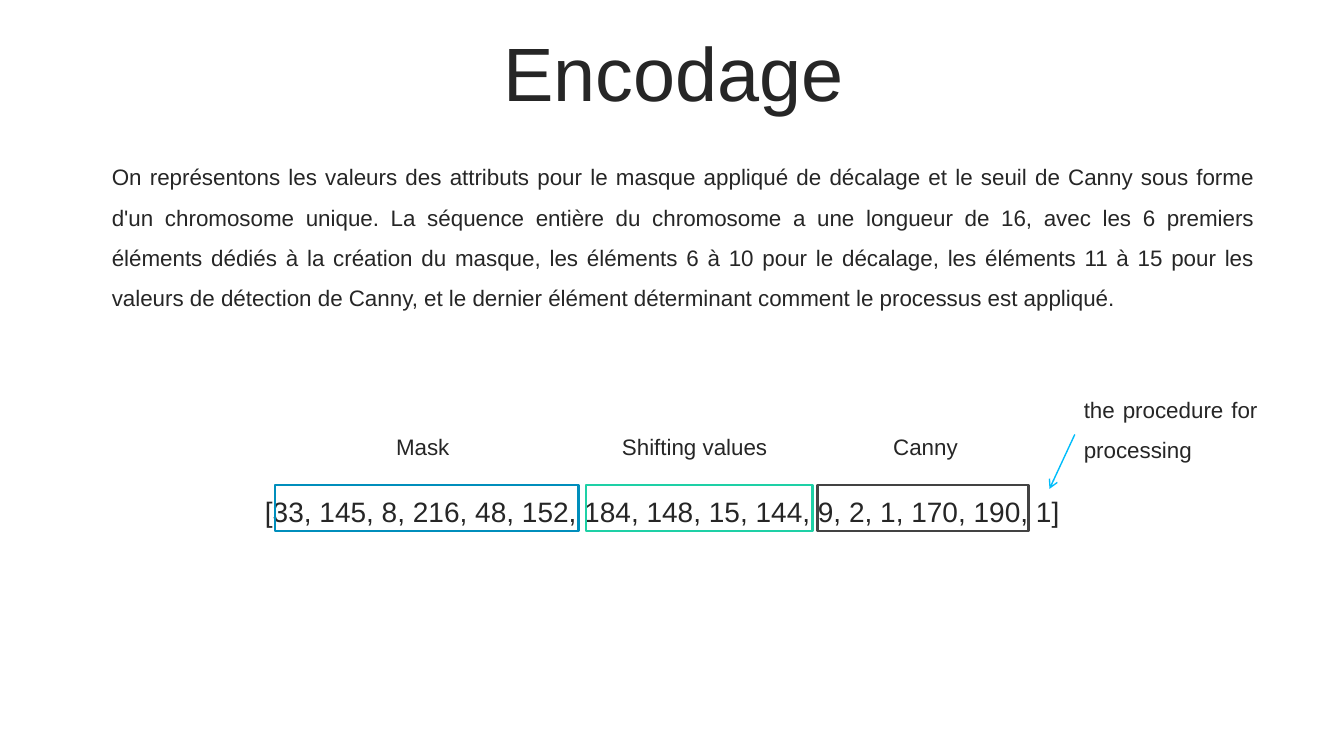
from lxml.etree import SubElement
from pptx import Presentation
from pptx.dml.color import RGBColor
from pptx.enum.shapes import MSO_CONNECTOR, MSO_SHAPE
from pptx.enum.text import MSO_ANCHOR, PP_ALIGN
from pptx.oxml.ns import qn
from pptx.util import Inches, Pt

INK = RGBColor(0x26, 0x26, 0x26)
BLUE = RGBColor(0x00, 0x8E, 0xBC)
GREEN = RGBColor(0x1E, 0xD0, 0xA6)
GREY = RGBColor(0x43, 0x43, 0x43)
SKY = RGBColor(0x00, 0xBD, 0xFB)

prs = Presentation()
prs.slide_width = Inches(13.33)
prs.slide_height = Inches(7.5)
s = prs.slides.add_slide(prs.slide_layouts[5])


def share(x, y, w, h):
    col, row = prs.slide_width / 100, prs.slide_height / 100
    return round(x * col), round(y * row), round(w * col), round(h * row)


def write(sp, text, size, align=PP_ALIGN.JUSTIFY, spacing=1.5):
    tf = sp.text_frame
    tf.word_wrap = True
    p = tf.paragraphs[0]
    p.alignment = align
    p.line_spacing = spacing
    r = p.add_run()
    r.text = text
    r.font.name = "Arial"
    r.font.size = Pt(size)
    r.font.color.rgb = INK


title = s.shapes.title
title.left, title.top, title.width, title.height = share(2.63, 4.93, 94.97, 10.53)
title.text_frame.vertical_anchor = MSO_ANCHOR.MIDDLE
write(title, "Encodage", 54, PP_ALIGN.CENTER, 0.9)

intro = (
    "On représentons les valeurs des attributs pour le masque appliqué de décalage "
    "et le seuil de Canny sous forme d'un chromosome unique. La séquence entière du "
    "chromosome a une longueur de 16, avec les 6 premiers éléments dédiés à la "
    "création du masque, les éléments 6 à 10 pour le décalage, les éléments 11 à 15 "
    "pour les valeurs de détection de Canny, et le dernier élément déterminant "
    "comment le processus est appliqué."
)
chromosome = "[33, 145, 8, 216, 48, 152, 184, 148, 15, 144, 9, 2, 1, 170, 190, 1]"
write(s.shapes.add_textbox(*share(7.58, 19.2, 86.5, 22.27)), intro, 16)
write(s.shapes.add_textbox(*share(18.98, 62.53, 62.04, 10.27)), chromosome, 20)

genes = [
    ("Mask", BLUE, 20.48, 22.58, 28.73, 6),
    ("Shifting values", GREEN, 43.59, 16.88, 45.54, 12.98),
    ("Canny", GREY, 60.84, 15.68, 65.72, 7.8),
]
for label, color, box_x, box_w, label_x, label_w in genes:
    sp = s.shapes.add_shape(MSO_SHAPE.RECTANGLE, *share(box_x, 64.13, box_w, 6.13))
    sp.shadow.inherit = False
    sp.fill.background()
    sp.line.color.rgb = color
    sp.line.width = Pt(1.75)
    write(s.shapes.add_textbox(*share(label_x, 54.93, label_w, 7.6)), label, 16)

note = s.shapes.add_textbox(*share(79.9, 50, 14.4, 7.6))
write(note, "the procedure for processing", 16)

arrow = s.shapes.add_connector(
    MSO_CONNECTOR.STRAIGHT, *share(79.97, 57.47, 78.09, 64.67)
)
arrow.line.color.rgb = SKY
arrow.line.width = Pt(1)
SubElement(arrow.line._get_or_add_ln(), qn("a:tailEnd"), type="arrow")
SubElement(arrow._element.spPr, qn("a:effectLst"))

prs.save("out.pptx")
